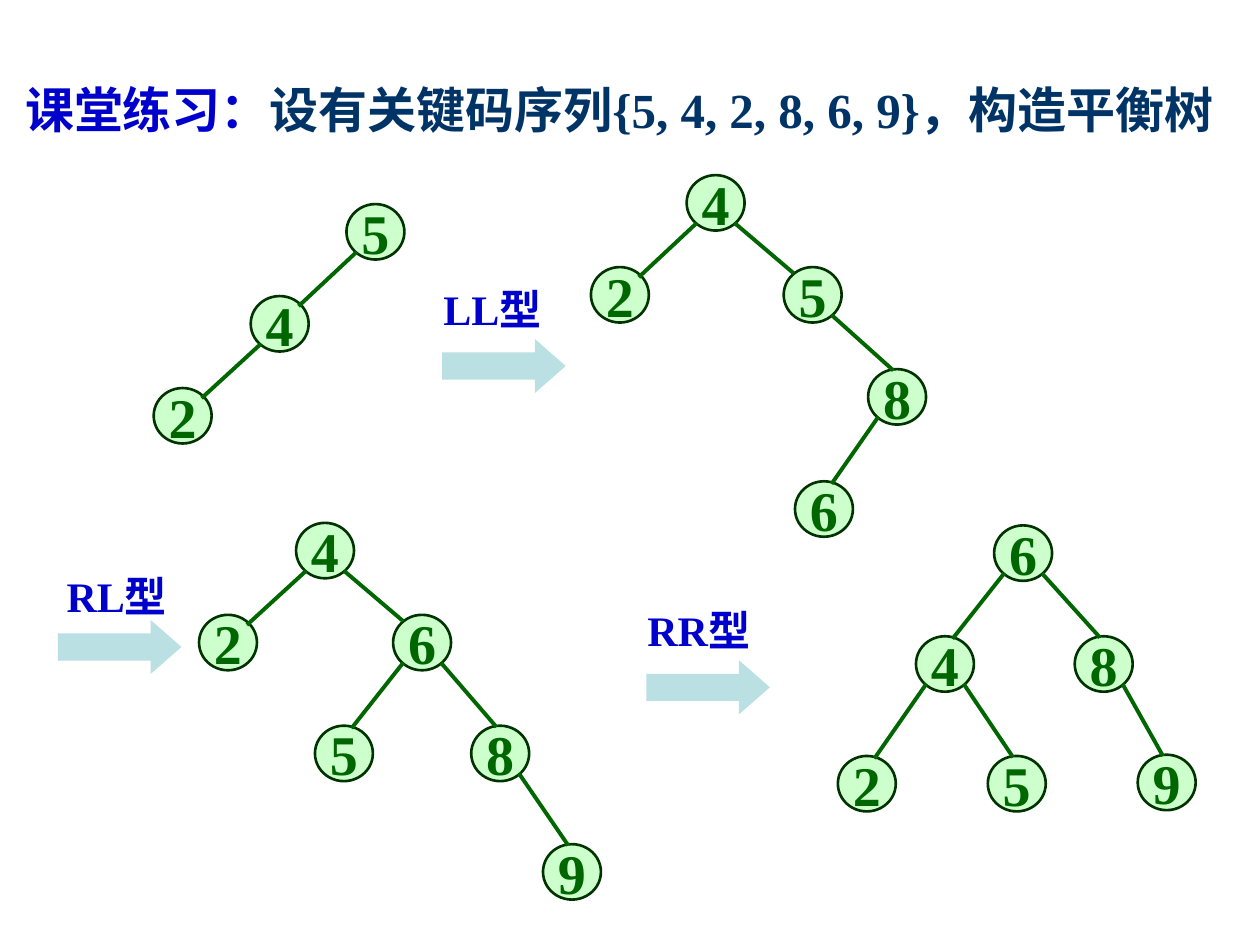
from pptx import Presentation
from pptx.dml.color import RGBColor
from pptx.enum.shapes import MSO_CONNECTOR, MSO_SHAPE
from pptx.enum.text import MSO_ANCHOR, PP_ALIGN
from pptx.util import Inches, Pt
from lxml.etree import SubElement
from pptx.oxml.ns import qn

COLORS = {
    "blue": "0000CC", "navy": "003366", "mint": "CCFFCC",
    "rim": "003300", "green": "006600", "arrow": "BBE0E3",
}
FONT = "Times New Roman"
TITLE = [("课堂练习：", "blue"), ("设有关键码序列{5, 4, 2, 8, 6, 9}，构造平衡树", "navy")]

TREES = [
    ({"5": (2.75, 1.62), "4": (1.99, 2.35), "2": (1.22, 3.08)},
     ["54", "42"]),
    ({"4": (5.45, 1.39), "2": (4.69, 2.12), "5": (6.22, 2.12),
      "8": (6.89, 2.93), "6": (6.31, 3.82)},
     ["42", "45", "58", "86"]),
    ({"4": (2.35, 4.15), "2": (1.58, 4.88), "6": (3.12, 4.88),
      "5": (2.5, 5.76), "8": (3.74, 5.76), "9": (4.31, 6.7)},
     ["42", "46", "65", "68", "89"]),
    ({"6": (7.89, 4.17), "4": (7.27, 5.05), "8": (8.53, 5.05),
      "2": (6.65, 6), "5": (7.84, 6), "9": (9.03, 5.99)},
     ["64", "68", "42", "45", "89"]),
]
STEPS = [
    ("LL型", (3.51, 2.69), (3.42, 2.2)),
    ("RL型", (0.46, 4.92), (0.43, 4.48)),
    ("RR型", (5.13, 5.24), (5.04, 4.75)),
]
NODE = (0.46, 0.44)
ARROW = (0.98, 0.43)
LABEL = (1.03, 0.5)
STEEP = 0.75
START = {"left": (0.08, 0.38), "right": (0.38, 0.38)}
END = {
    ("left", False): (0.38, 0.08), ("right", False): (0.08, 0.05),
    ("left", True): (0.29, 0.02), ("right", True): (0.2, 0.01),
}

deck = Presentation()
deck.slide_width, deck.slide_height = Inches(10), Inches(7.5)
slide = deck.slides.add_slide(deck.slide_layouts[6])
shapes = slide.shapes


def color(name):
    return RGBColor.from_string(COLORS[name])


def place(spot, size):
    return [Inches(v) for v in (*spot, *size)]


def shift(spot, step):
    return [Inches(a + b) for a, b in zip(spot, step)]


def write(frame, text, size=24, ink="blue", align=PP_ALIGN.LEFT):
    part = frame.paragraphs[0]
    part.alignment = align
    run = part.add_run()
    run.text = text
    run.font.name, run.font.size, run.font.bold = FONT, Pt(size), True
    run.font.color.rgb = color(ink)


def draw(kind, spot, size, fill):
    shape = shapes.add_shape(kind, *place(spot, size))
    shape.shadow.inherit = False
    shape.fill.solid()
    shape.fill.fore_color.rgb = color(fill)
    return shape


def box(spot, size):
    frame = shapes.add_textbox(*place(spot, size)).text_frame
    frame.word_wrap = True
    return frame


def node(key, spot):
    shape = draw(MSO_SHAPE.OVAL, spot, NODE, "mint")
    shape.line.color.rgb = color("rim")
    shape.line.width = Pt(1.5)
    frame = shape.text_frame
    frame.word_wrap = False
    frame.vertical_anchor = MSO_ANCHOR.MIDDLE
    write(frame, key, size=32, ink="green", align=PP_ALIGN.CENTER)


def edge(top, low):
    side = "left" if low[0] < top[0] else "right"
    steep = low[1] - top[1] > STEEP
    line = shapes.add_connector(
        MSO_CONNECTOR.STRAIGHT,
        *shift(top, START[side]), *shift(low, END[side, steep]))
    line.line.color.rgb = color("green")
    line.line.width = Pt(2.25)
    SubElement(line._element.spPr, qn("a:effectLst"))


title = box((0.2, 0.58), (9.56, 0.57))
title.margin_left = title.margin_right = 0
for text, ink in TITLE:
    write(title, text, size=28, ink=ink)

for text, spot, label in STEPS:
    arrow = draw(MSO_SHAPE.RIGHT_ARROW, spot, ARROW, "arrow")
    arrow.adjustments[1] = 0.57
    arrow.line.fill.background()
    write(box(label, LABEL), text)

for nodes, edges in TREES:
    for key, spot in nodes.items():
        node(key, spot)
    for top, low in edges:
        edge(nodes[top], nodes[low])

deck.save("out.pptx")
